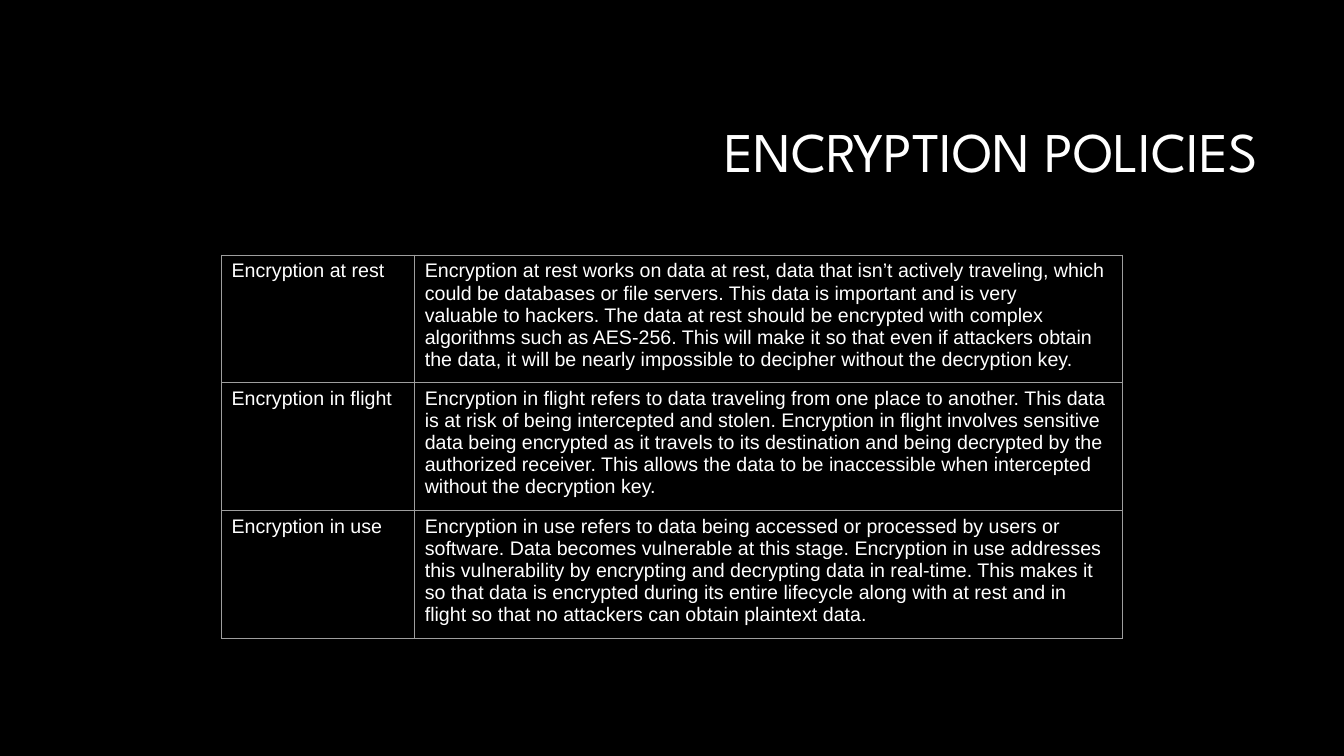
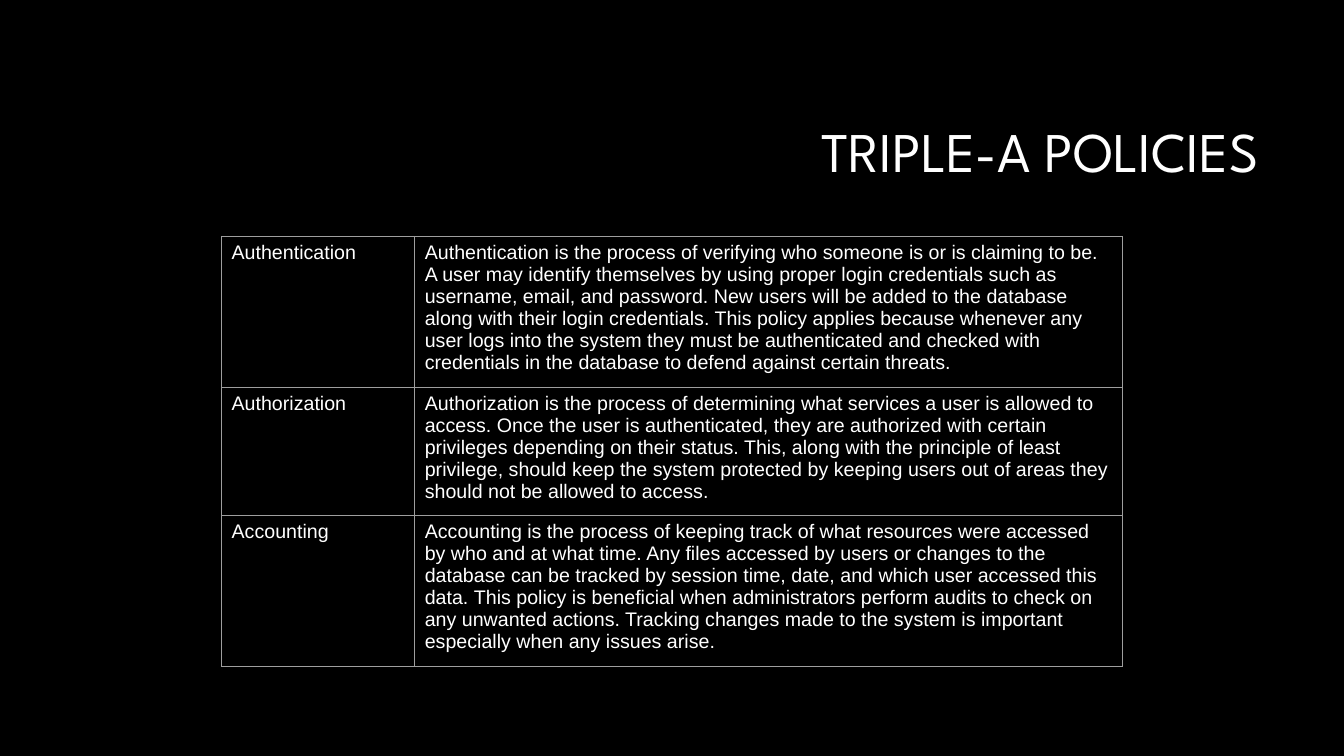
from dataclasses import dataclass

from lxml import etree
from pptx import Presentation
from pptx.dml.color import RGBColor
from pptx.enum.text import MSO_ANCHOR, PP_ALIGN
from pptx.oxml.ns import qn
from pptx.util import Emu, Pt

RIGHT = PP_ALIGN.RIGHT
MIDDLE = MSO_ANCHOR.MIDDLE
EMU_PER_PX = 9525  # 96 px to the inch
BLANK_LAYOUT = 6
HARD_SPACE = chr(160)  # keeps two words on one line


@dataclass(frozen=True)
class Theme:
    background: str = "000000"
    text: str = "FFFFFF"
    border: str = "9E9E9E"
    title_font: str = "League Spartan"
    body_font: str = "Arial"
    title_size: int = 40
    body_size: int = 14
    border_width: float = 0.75


@dataclass(frozen=True)
class Policy:
    name: str
    description: str


@dataclass(frozen=True)
class PolicyPage:
    title: str
    table_top: int
    table_height: int
    policies: tuple[Policy, ...]


THEME = Theme()
PAGE_SIZE = (1280, 720)
TITLE_BOX = (304, 80, 904, 135)
TABLE_LEFT = 211
COLUMN_WIDTHS = (184, 674)
MIN_ROW_HEIGHT = 39  # rows grow to fit their text

PAGES = (
    PolicyPage("ENCRYPTION POLICIES", 243, 365, (
        Policy(
            f"Encryption at{HARD_SPACE}rest",
            "Encryption at rest works on data at rest, data that isn’t actively "
            "traveling, which could be databases or file servers. This data is "
            f"important and is very valuable{HARD_SPACE}to hackers. The data at rest "
            "should be encrypted with complex algorithms such as AES-256. This will "
            "make it so that even if attackers obtain the data, it will be nearly "
            "impossible to decipher without the decryption key."),
        Policy(
            "Encryption in flight",
            "Encryption in flight refers to data traveling from one place to another. "
            "This data is at risk of being intercepted and stolen. Encryption in "
            "flight involves sensitive data being encrypted as it travels to its "
            "destination and being decrypted by the authorized receiver. This allows "
            "the data to be inaccessible when intercepted without the decryption key."),
        Policy(
            "Encryption in use",
            "Encryption in use refers to data being accessed or processed by users or "
            "software. Data becomes vulnerable at this stage. Encryption in use "
            "addresses this vulnerability by encrypting and decrypting data in "
            "real-time. This makes it so that data is encrypted during its entire "
            "lifecycle along with at rest and in flight so that no attackers can "
            "obtain plaintext data."),
    )),
    PolicyPage("TRIPLE-A POLICIES", 225, 410, (
        Policy(
            "Authentication",
            "Authentication is the process of verifying who someone is or is claiming "
            "to be. A user may identify themselves by using proper login credentials "
            "such as username, email, and password. New users will be added to the "
            f"database along with{HARD_SPACE}their login credentials. This policy "
            "applies because whenever any user logs into the system they must be "
            "authenticated and checked with credentials in the database to defend "
            "against certain threats."),
        Policy(
            "Authorization",
            "Authorization is the process of determining what services a user is "
            "allowed to access. Once the user is authenticated, they are authorized "
            "with certain privileges depending on their status. This, along with the "
            "principle of least privilege, should keep the system protected by keeping "
            "users out of areas they should not be allowed to access."),
        Policy(
            "Accounting",
            "Accounting is the process of keeping track of what resources were "
            "accessed by who and at what time. Any files accessed by users or changes "
            "to the database can be tracked by session time, date, and which user "
            f"accessed this data.{HARD_SPACE}This policy is beneficial when "
            "administrators perform audits to check on any unwanted actions. Tracking "
            "changes made to the system is important especially when any issues arise."),
    )),
)


def px(length: int) -> Emu:
    return Emu(length * EMU_PER_PX)


def write_text(frame, text: str, font: str, size: int) -> None:
    frame.text = text
    for para in frame.paragraphs:
        for span in para.runs:
            span.font.name = font
            span.font.size = Pt(size)
            span.font.color.rgb = RGBColor.from_string(THEME.text)


def add_title(page, text: str) -> None:
    box = page.shapes.add_textbox(*map(px, TITLE_BOX))
    frame = box.text_frame
    frame.word_wrap = True
    frame.vertical_anchor = MIDDLE
    write_text(frame, text, THEME.title_font, THEME.title_size)
    para = frame.paragraphs[0]
    para.alignment = RIGHT
    para.line_spacing = 0.9


def add_borders(cell) -> None:
    properties = cell._tc.get_or_add_tcPr()
    for side in ("a:lnL", "a:lnR", "a:lnT", "a:lnB"):
        line = etree.SubElement(properties, qn(side), w=str(Pt(THEME.border_width)))
        fill = etree.SubElement(line, qn("a:solidFill"))
        etree.SubElement(fill, qn("a:srgbClr"), val=THEME.border)


def add_policy_table(page, content: PolicyPage) -> None:
    holder = page.shapes.add_table(
        len(content.policies), len(COLUMN_WIDTHS), px(TABLE_LEFT),
        px(content.table_top), px(sum(COLUMN_WIDTHS)), px(content.table_height))
    table = holder.table
    table.first_row = False
    table.horz_banding = False
    for column, width in zip(table.columns, COLUMN_WIDTHS):
        column.width = px(width)
    for row, policy in zip(table.rows, content.policies):
        row.height = px(MIN_ROW_HEIGHT)
        for cell, text in zip(row.cells, (policy.name, policy.description)):
            write_text(cell.text_frame, text, THEME.body_font, THEME.body_size)
            add_borders(cell)
            cell.fill.background()
    # Setting row heights shrinks the frame, so restore it
    holder.height = px(content.table_height)


def add_page(deck, content: PolicyPage) -> None:
    page = deck.slides.add_slide(deck.slide_layouts[BLANK_LAYOUT])
    add_title(page, content.title)
    add_policy_table(page, content)


def main() -> None:
    deck = Presentation()
    deck.slide_width, deck.slide_height = map(px, PAGE_SIZE)
    # Shared background
    backdrop = deck.slide_master.background.fill
    backdrop.solid()
    backdrop.fore_color.rgb = RGBColor.from_string(THEME.background)
    for content in PAGES:
        add_page(deck, content)
    deck.save("out.pptx")


if __name__ == "__main__":
    main()
